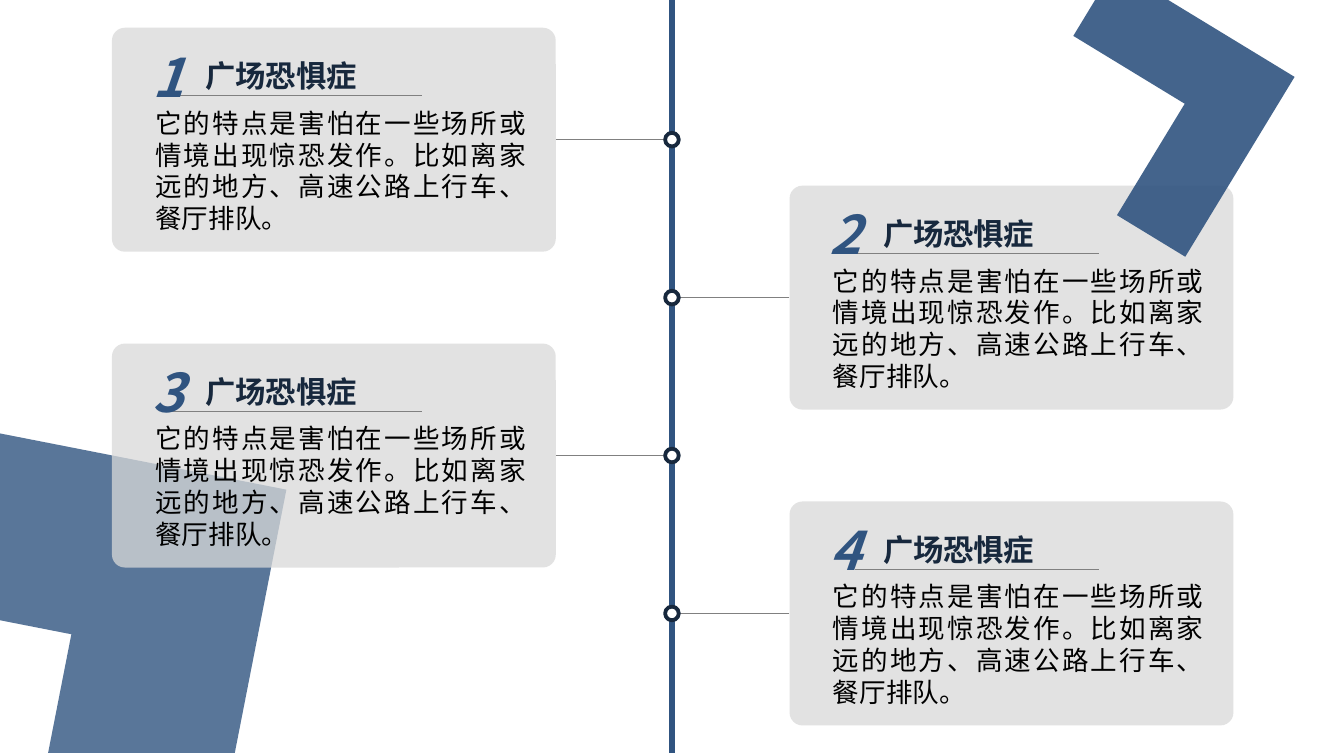
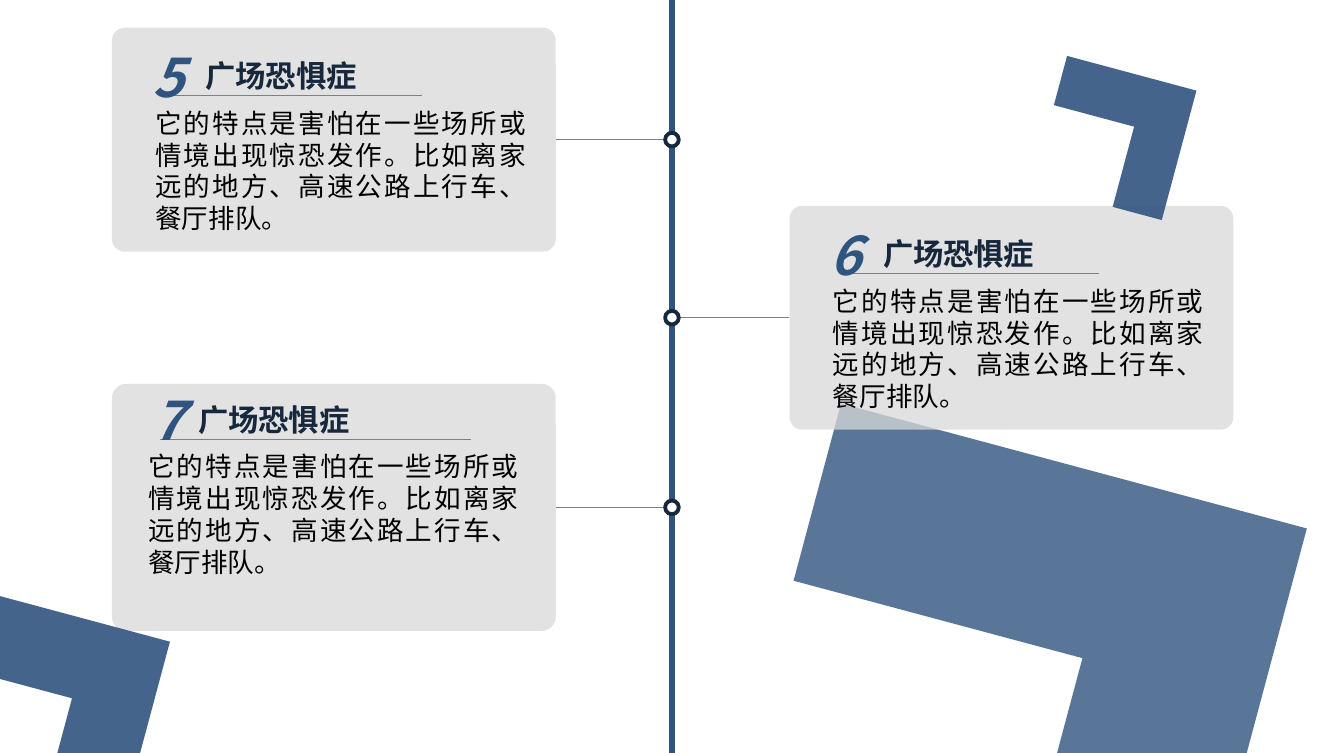
"""Build two timeline slides with numbered cards on alternating sides."""
from lxml import etree
from pptx import Presentation
from pptx.dml.color import RGBColor
from pptx.enum import shapes, text
from pptx.oxml.ns import qn
from pptx.util import Pt

WIDTH, HEIGHT = 708.5, 396.7
FONT = "Noto Sans CJK SC"
BLUE, NAVY, GREY, PALE, WHITE, BLACK = "305480", "17283D", "808080", "D9D9D9", "FFFFFF", "000000"

HEADING = "广场恐惧症"
BODY = "它的特点是害怕在一些场所或情境出现惊恐发作。比如离家远的地方、高速公路上行车、餐厅排队。"

AXIS = WIDTH / 2
CARD_WIDTH, FIRST_TOP = 234, 14.6
CARD_LEFTS = (59, 416.2)
NODE = 7.2
ARM = 0.38
STANDARD = {"height": 118, "shift": (0, 0), "rule": (28.8, 163.4)}
TALL = {"height": 130.2, "shift": (-3.8, -6.5), "rule": (25.2, 189.4)}
LATE_RULE = {**STANDARD, "rule": (34.6, 163.4)}

SLIDES = [
    {
        "step": 83.2,
        "cards": [("1", STANDARD), ("2", STANDARD), ("3", STANDARD), ("4", LATE_RULE)],
        "back": [(-125.3, 231.1, 254.2, 191.1)],
        "front": [(550.8, 3.6, 110.9, 211.3)],
    },
    {
        "step": 93.8,
        "cards": [("5", STANDARD), ("6", STANDARD), ("7", TALL)],
        "back": [(406.1, 241.2, 254.2, 195)],
        "front": [(-33.8, 321.8, 110.9, 195), (552.2, 37.4, 70.6, 195)],
    },
]


def rgb(value):
    return RGBColor.from_string(value)


def paint(shape, fill, alpha=100, line=None):
    shape.shadow.inherit = False
    shape.fill.solid()
    shape.fill.fore_color.rgb = rgb(fill)
    if alpha < 100:
        color = shape._element.spPr.find(qn("a:solidFill"))[0]
        etree.SubElement(color, qn("a:alpha"), val=str(alpha * 1000))
    if line:
        shape.line.color.rgb = rgb(line)
        shape.line.width = Pt(2)
    else:
        shape.line.fill.background()


def add_line(page, start, end, color, width):
    line = page.shapes.add_connector(shapes.MSO_CONNECTOR.STRAIGHT, *map(Pt, start + end))
    line.line.color.rgb = rgb(color)
    line.line.width = Pt(width)
    etree.SubElement(line._element.spPr, qn("a:effectLst"))
    return line


def add_text(page, box, words, size, color, align, bold=False, italic=False):
    frame = page.shapes.add_textbox(*map(Pt, box)).text_frame
    frame.word_wrap = True
    frame.auto_size = text.MSO_AUTO_SIZE.SHAPE_TO_FIT_TEXT
    paragraph = frame.paragraphs[0]
    paragraph.text = words
    paragraph.alignment = align
    font = paragraph.font
    font.size, font.bold, font.italic = Pt(size), bold, italic
    font.color.rgb = rgb(color)
    font.name = FONT
    etree.SubElement(font._element, qn("a:ea"), typeface=FONT)


def add_corners(page, corners, alpha):
    for left, top, size, angle in corners:
        right, bottom, arm = left + size, top + size, size * ARM
        outline = [(left, top), (left + arm, top), (left + arm, bottom - arm),
                   (right, bottom - arm), (right, bottom), (left, bottom)]
        points = [(Pt(x), Pt(y)) for x, y in outline]
        builder = page.shapes.build_freeform(*points[0])
        builder.add_line_segments(points[1:], close=True)
        corner = builder.convert_to_shape()
        paint(corner, BLUE, alpha)
        corner.rotation = angle


def add_card(page, number, side, top, style):
    left, height = CARD_LEFTS[side], style["height"]
    card = page.shapes.add_shape(shapes.MSO_SHAPE.ROUNDED_RECTANGLE,
                                 *map(Pt, (left, top, CARD_WIDTH, height)))
    card.adjustments[0] = 0.058
    paint(card, PALE, 75)

    shift_x, shift_y = style["shift"]
    rule_start, rule_end = style["rule"]
    x, y = left + shift_x, top + shift_y
    justify, center = text.PP_ALIGN.JUSTIFY, text.PP_ALIGN.CENTER
    add_text(page, (x + 15.8, y + 38, 209.5, 74.9), BODY, 14, BLACK, justify)
    add_text(page, (x + 42.2, y + 12.2, 121.7, 26.6), HEADING, 16, NAVY, justify, bold=True)
    add_line(page, (left + rule_start, y + 35.6), (left + rule_end, y + 35.6), GREY, 0.25)
    add_text(page, (left + 8.6, y + 5, 41.8, 41), number, 28, BLUE, center, bold=True, italic=True)

    middle = top + height / 2
    node_edge = AXIS + (NODE / 2 if side else -NODE / 2)
    card_edge = left if side else left + CARD_WIDTH
    link = add_line(page, (card_edge, middle), (node_edge, middle), GREY, 0.75)
    link.begin_connect(card, 1 if side else 3)
    node = page.shapes.add_shape(shapes.MSO_SHAPE.OVAL,
                                 *map(Pt, (AXIS - NODE / 2, middle - NODE / 2, NODE, NODE)))
    paint(node, WHITE, line=NAVY)


def main():
    deck = Presentation()
    deck.slide_width, deck.slide_height = Pt(WIDTH), Pt(HEIGHT)
    for content in SLIDES:
        page = deck.slides.add_slide(deck.slide_layouts[6])
        add_corners(page, content["back"], 80)
        add_line(page, (AXIS, 0), (AXIS, HEIGHT), BLUE, 3)
        for index, (number, style) in enumerate(content["cards"]):
            add_card(page, number, index % 2, FIRST_TOP + index * content["step"], style)
        add_corners(page, content["front"], 90)
    deck.save("out.pptx")


if __name__ == "__main__":
    main()
